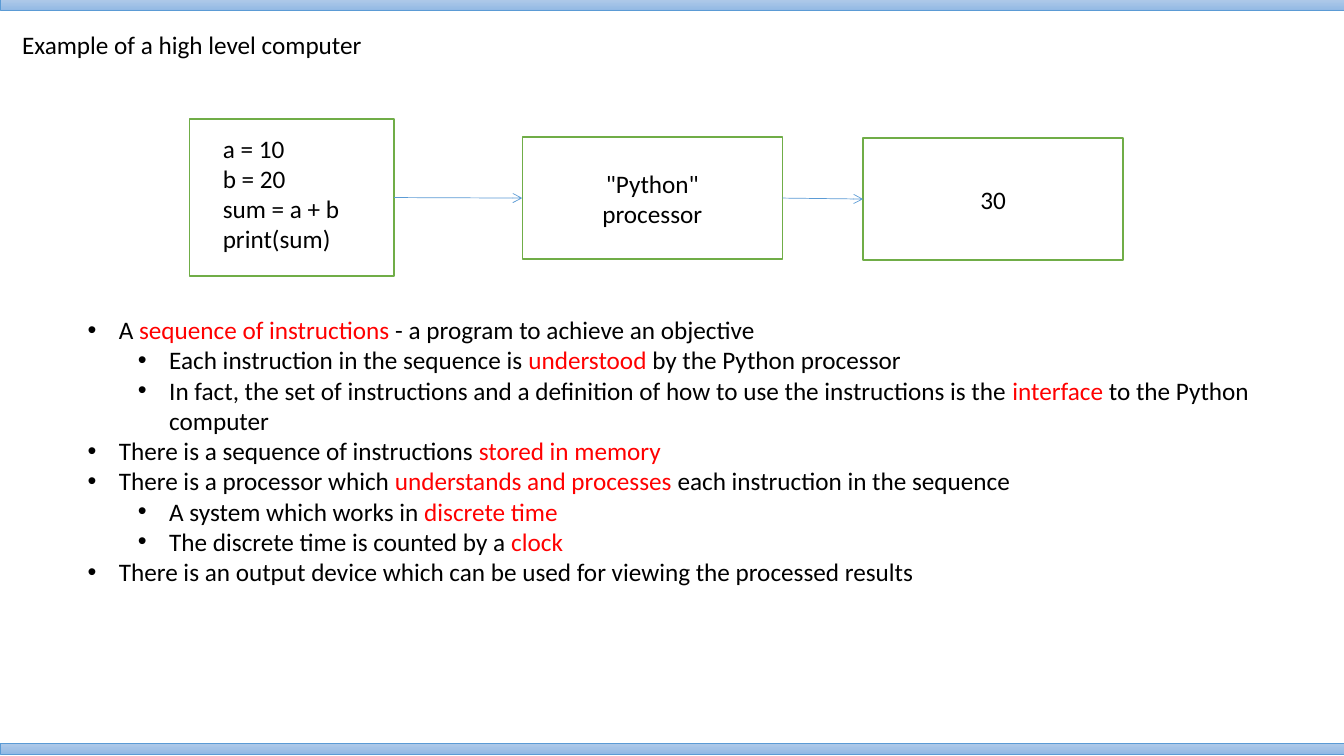
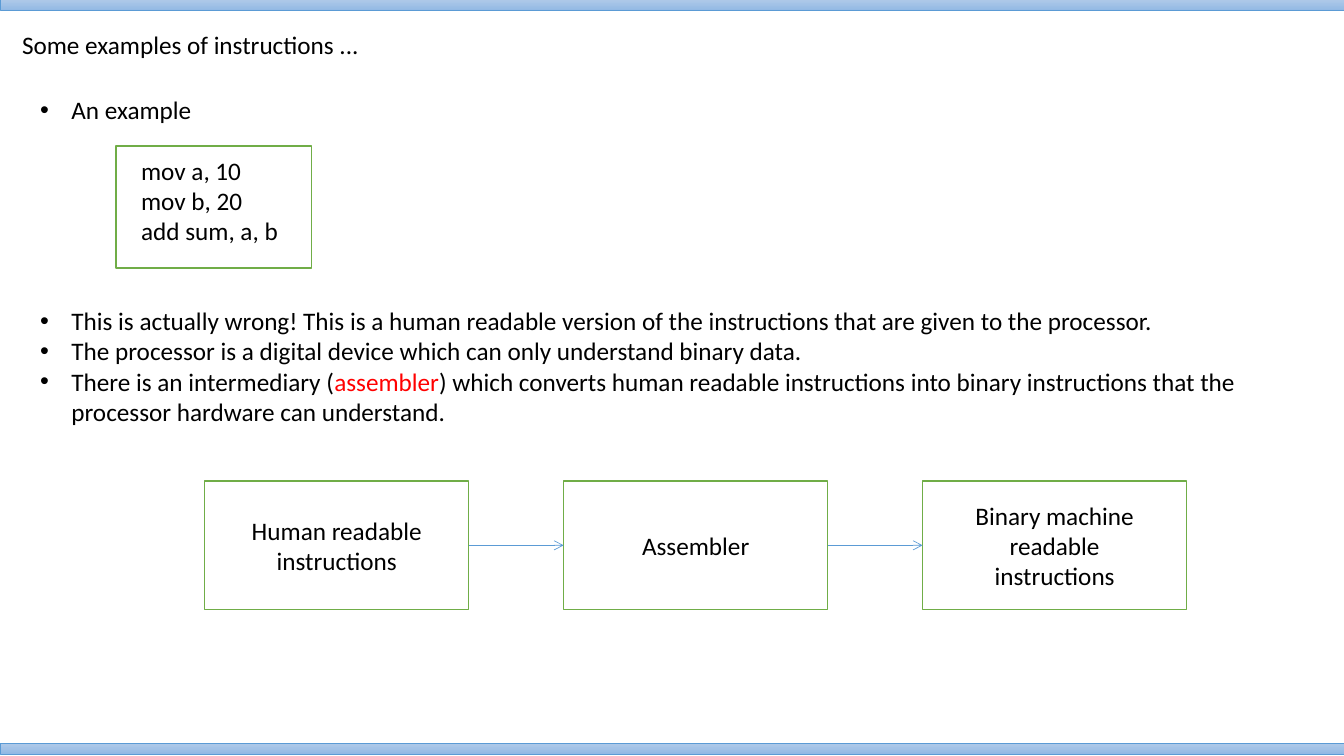
from pptx import Presentation
from pptx.dml.color import RGBColor
from pptx.enum.shapes import MSO_CONNECTOR, MSO_SHAPE
from pptx.enum.text import MSO_ANCHOR, PP_ALIGN
from pptx.oxml.ns import qn
from pptx.util import Inches, Pt
from lxml.etree import SubElement

BLACK = RGBColor(0x00, 0x00, 0x00)
RED = RGBColor(0xFF, 0x00, 0x00)
WHITE = RGBColor(0xFF, 0xFF, 0xFF)
GREEN = RGBColor(0x70, 0xAD, 0x47)
BLUE = RGBColor(0x5B, 0x9B, 0xD5)
BAND_COLORS = (RGBColor(0xB1, 0xCB, 0xE9), RGBColor(0x93, 0xB9, 0xE4))

SLIDE_WIDTH, SLIDE_HEIGHT = 13.33, 7.5
BAND_TOPS, BAND_HEIGHT = (-0.01, 7.37), 0.11
TITLE_AREA = (0.12, 0.24, 12.28, 0.42)
BULLET_HANG, LEVEL_STEP = 0.31, 0.5
TEXT_FORMAT = {"name": "Calibri", "size": Pt(18)}

# Content: areas are left, top, width, height; *asterisks* mark red words.
# A code box also has its left and top text insets; a bullet has its level.
SLIDES = [
    {
        "title": "Example of a high level computer",
        "code": ((1.88, 1.18, 2.03, 1.56), (0.33, 0.14),
                 ["a = 10", "b = 20", "sum = a + b", "print(sum)"]),
        "steps": [((5.18, 1.36, 2.58, 1.21), ['"Python"', "processor"]),
                  ((8.56, 1.37, 2.58, 1.21), ["30"])],
        "flow_from_code": True,
        "bullets": [((0.77, 3.07, 12.12, 3.12), [
            (0, "A *sequence of instructions* - a program to achieve an objective"),
            (1, "Each instruction in the sequence is *understood* by the Python processor"),
            (1, "In fact, the set of instructions and a definition of how to use the "
                "instructions is the *interface* to the Python computer"),
            (0, "There is a sequence of instructions *stored in memory*"),
            (0, "There is a processor which *understands and processes* each "
                "instruction in the sequence"),
            (1, "A system which works in *discrete time*"),
            (1, "The discrete time is counted by a *clock*"),
            (0, "There is an output device which can be used for viewing the "
                "processed results"),
        ])],
    },
    {
        "title": "Some examples of instructions ...",
        "code": ((1.15, 1.45, 1.94, 1.21), (0.25, 0.09),
                 ["mov a, 10", "mov b, 20", "add sum, a, b"]),
        "steps": [((2.03 + 3.56 * column, 4.77, 2.62, 1.28), lines)
                  for column, lines in enumerate([
                      ["Human readable", "instructions"],
                      ["Assembler"],
                      ["Binary machine", "readable", "instructions"]])],
        "flow_from_code": False,
        "bullets": [
            ((0.3, 0.89, 12.82, 0.42), [(0, "An example")]),
            ((0.3, 2.98, 12.82, 1.32), [
                (0, "This is actually wrong! This is a human readable version of the "
                    "instructions that are given to the processor."),
                (0, "The processor is a digital device which can only understand "
                    "binary data."),
                (0, "There is an intermediary (*assembler*) which converts human "
                    "readable instructions into binary instructions that the "
                    "processor hardware can understand."),
            ]),
        ],
    },
]


def inches(area):
    return [Inches(length) for length in area]


def write_text(paragraph, text):
    for index, part in enumerate(text.split("*")):
        if part:
            run = paragraph.add_run()
            run.text = part
            for name, value in TEXT_FORMAT.items():
                setattr(run.font, name, value)
            run.font.color.rgb = RED if index % 2 else BLACK


def write_lines(frame, lines, alignment):
    for index, line in enumerate(lines):
        paragraph = frame.add_paragraph() if index else frame.paragraphs[0]
        paragraph.alignment = alignment
        write_text(paragraph, line)


def add_text(slide, area):
    frame = slide.shapes.add_textbox(*inches(area)).text_frame
    frame.word_wrap = True
    return frame


def add_bullets(slide, area, bullets):
    frame = add_text(slide, area)
    for index, (level, text) in enumerate(bullets):
        paragraph = frame.add_paragraph() if index else frame.paragraphs[0]
        paragraph.level = level
        properties = paragraph._p.get_or_add_pPr()
        properties.set("marL", str(Inches(BULLET_HANG + LEVEL_STEP * level)))
        properties.set("indent", str(-Inches(BULLET_HANG)))
        SubElement(properties, qn("a:buFont"), typeface="Arial")
        SubElement(properties, qn("a:buChar"), char="•")
        write_text(paragraph, text)


def add_rectangle(slide, area, line_color, line_width):
    shape = slide.shapes.add_shape(MSO_SHAPE.RECTANGLE, *inches(area))
    shape.shadow.inherit = False
    shape.line.color.rgb = line_color
    shape.line.width = Pt(line_width)
    return shape


def add_box(slide, area, lines, code_insets=None):
    shape = add_rectangle(slide, area, GREEN, 1)
    shape.fill.solid()
    shape.fill.fore_color.rgb = WHITE
    frame = shape.text_frame
    frame.word_wrap = True
    if code_insets:
        frame.vertical_anchor = MSO_ANCHOR.TOP
        frame.margin_left, frame.margin_top = inches(code_insets)
        write_lines(frame, lines, PP_ALIGN.LEFT)
    else:
        frame.vertical_anchor = MSO_ANCHOR.MIDDLE
        write_lines(frame, lines, PP_ALIGN.CENTER)
    return shape


def add_arrow(slide, source, target):
    arrow = slide.shapes.add_connector(MSO_CONNECTOR.STRAIGHT, 0, 0, 0, 0)
    arrow.begin_connect(source, 3)
    arrow.end_connect(target, 1)
    arrow.line.color.rgb = BLUE
    arrow.line.width = Pt(0.5)
    SubElement(arrow.line._get_or_add_ln(), qn("a:tailEnd"), type="arrow")
    SubElement(arrow._element.spPr, qn("a:effectLst"))


def add_frame(slide, title):
    # Top and bottom bands, then the title
    for top in BAND_TOPS:
        band = add_rectangle(slide, (0, top, SLIDE_WIDTH, BAND_HEIGHT), BLUE, 0.5)
        band.fill.gradient()
        band.fill.gradient_angle = 270
        for stop, color in zip(band.fill.gradient_stops, BAND_COLORS):
            stop.color.rgb = color
        for position, stop in enumerate(band.fill.gradient_stops):
            stop.position = position
    write_text(add_text(slide, TITLE_AREA).paragraphs[0], title)


def main():
    presentation = Presentation()
    presentation.slide_width = Inches(SLIDE_WIDTH)
    presentation.slide_height = Inches(SLIDE_HEIGHT)
    for content in SLIDES:
        slide = presentation.slides.add_slide(presentation.slide_layouts[6])
        add_frame(slide, content["title"])

        # Code box and the flow of steps
        code_area, code_insets, code_lines = content["code"]
        code_box = add_box(slide, code_area, code_lines, code_insets)
        flow = [add_box(slide, area, lines) for area, lines in content["steps"]]
        if content["flow_from_code"]:
            flow.insert(0, code_box)
        for source, target in zip(flow, flow[1:]):
            add_arrow(slide, source, target)

        # Explanations
        for area, bullets in content["bullets"]:
            add_bullets(slide, area, bullets)
    presentation.save("out.pptx")


if __name__ == "__main__":
    main()
